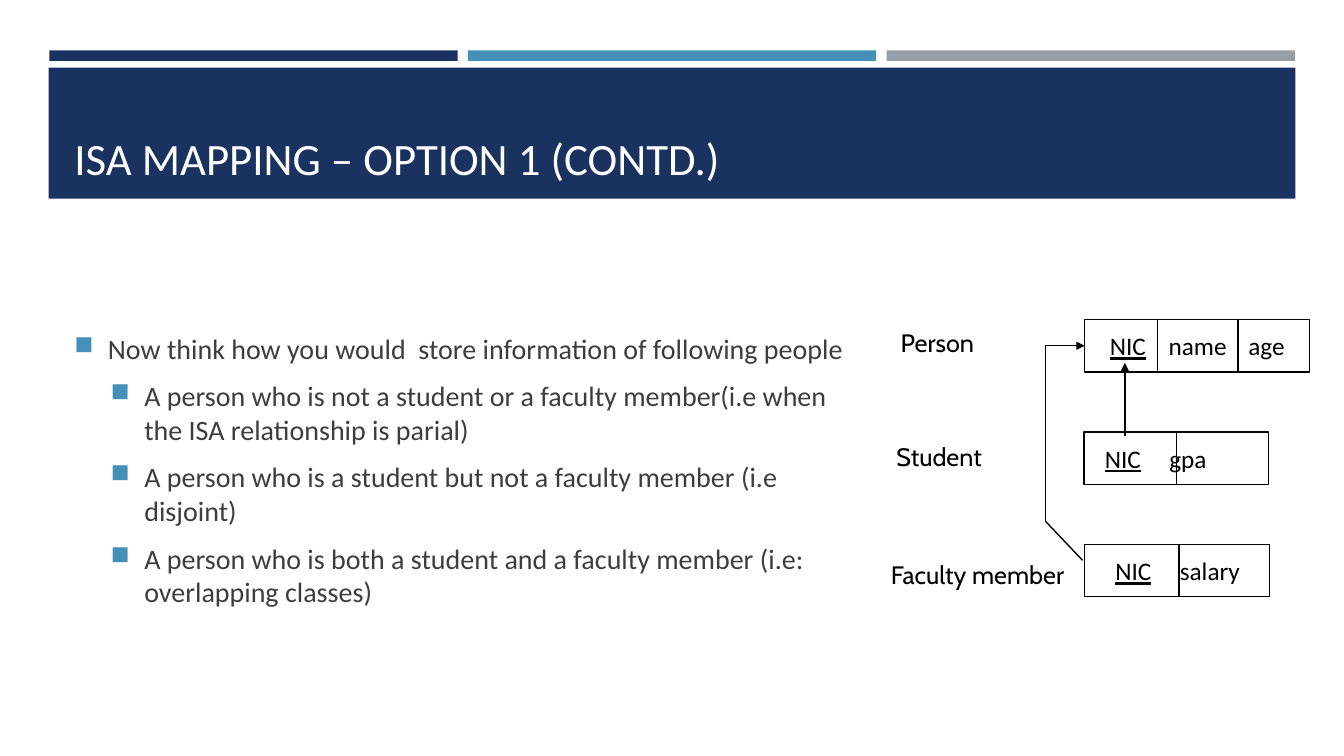
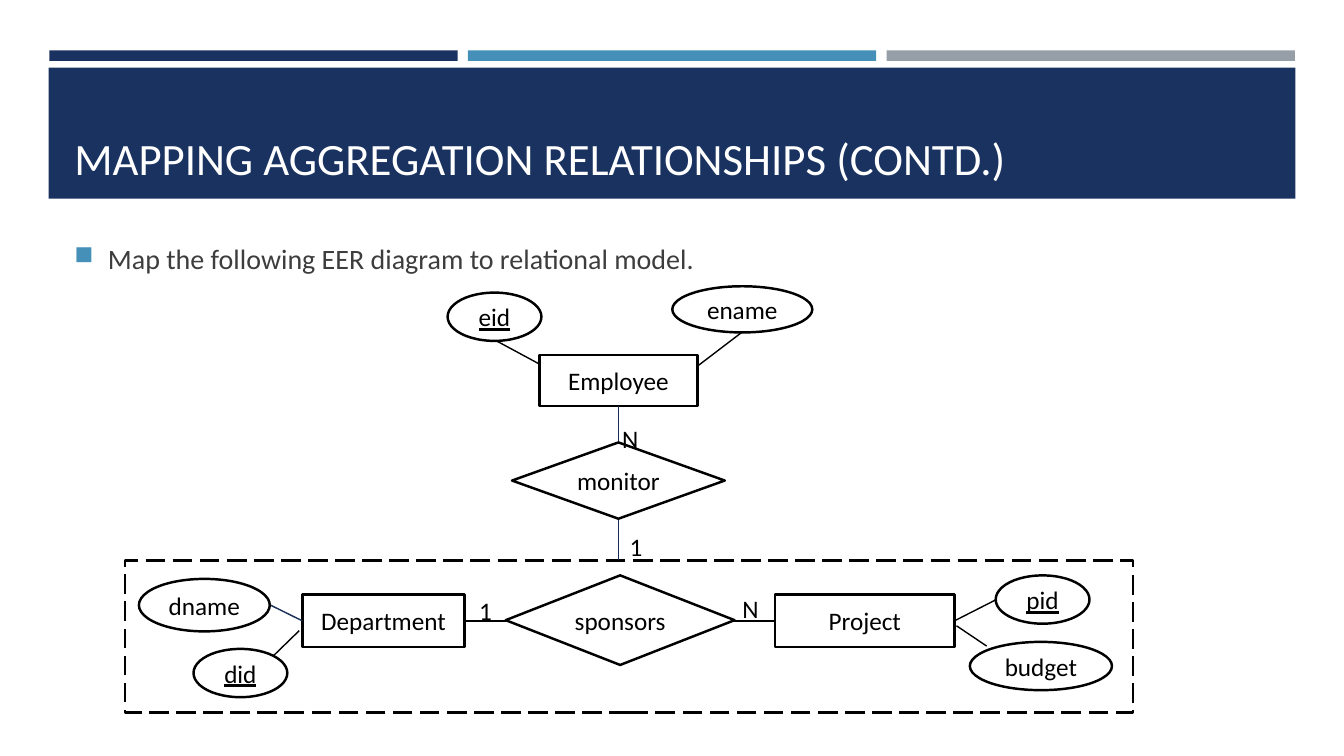
from lxml import etree
from pptx import Presentation
from pptx.dml.color import RGBColor
from pptx.enum.dml import MSO_LINE
from pptx.enum.shapes import MSO_CONNECTOR, MSO_SHAPE
from pptx.enum.text import MSO_ANCHOR, PP_ALIGN
from pptx.oxml.ns import qn
from pptx.util import Pt

RECTANGLE, ELLIPSE, DIAMOND = MSO_SHAPE.RECTANGLE, MSO_SHAPE.OVAL, MSO_SHAPE.DIAMOND
STRAIGHT = MSO_CONNECTOR.STRAIGHT
LONG_DASH = MSO_LINE.LONG_DASH
MIDDLE, BOTTOM = MSO_ANCHOR.MIDDLE, MSO_ANCHOR.BOTTOM
CENTER, LEFT = PP_ALIGN.CENTER, PP_ALIGN.LEFT
TOP_SIDE, LEFT_SIDE, BOTTOM_SIDE, RIGHT_SIDE = range(4)

NAVY = RGBColor(0x1A, 0x32, 0x60)
BLUE = RGBColor(0x45, 0x90, 0xB8)
GRAY = RGBColor(0x96, 0x9F, 0xA7)
DARK_NAVY = RGBColor(0x17, 0x2D, 0x56)
TEXT_GRAY = RGBColor(0x3D, 0x3D, 0x3D)
BLACK = RGBColor(0, 0, 0)
WHITE = RGBColor(255, 255, 255)

TITLE_FONT = {"name": "Calibri", "size": Pt(32)}
BODY_FONT = {"name": "Calibri", "size": Pt(20)}
DIAGRAM_FONT = {"name": "Calibri", "size": Pt(18)}
KEY_FONT = {**DIAGRAM_FONT, "underline": True}
LABEL_FONT = {"name": "Cabin", "size": Pt(18)}
NO_INSETS = {"margin_left": 0, "margin_right": 0, "margin_top": 0, "margin_bottom": 0}


def apply_format(target, values):
    for name, value in values.items():
        setattr(target, name, value)


def add_run(paragraph, text, font, color=BLACK):
    run = paragraph.add_run()
    run.text = text
    apply_format(run.font, font)
    run.font.color.rgb = color


def add_box(slide, kind, box, fill, line_width=0):
    shape = slide.shapes.add_shape(kind, *map(Pt, box))
    shape.shadow.inherit = False
    shape.fill.solid()
    shape.fill.fore_color.rgb = fill
    if line_width:
        shape.line.color.rgb = BLACK
        shape.line.width = Pt(line_width)
    else:
        shape.line.fill.background()
    return shape


def add_text_box(slide, box, **frame_format):
    frame = slide.shapes.add_textbox(*map(Pt, box)).text_frame
    apply_format(frame, {"word_wrap": True, **frame_format})
    return frame


def add_label(slide, box, text, font):
    frame = add_text_box(slide, box, word_wrap=False)
    add_run(frame.paragraphs[0], text, font)


def add_line(slide, begin, end, color=BLACK, arrow=False):
    connector = slide.shapes.add_connector(STRAIGHT, *map(Pt, (*begin, *end)))
    connector.line.color.rgb = color
    connector.line.width = Pt(1)
    etree.SubElement(connector._element.spPr, qn("a:effectLst"))
    if arrow:
        line = connector.line._get_or_add_ln()
        etree.SubElement(line, qn("a:tailEnd"), type="triangle")
    return connector


def add_bullet(paragraph, indent):
    properties = paragraph._p.get_or_add_pPr()
    properties.set("marL", str(Pt(indent)))
    properties.set("indent", str(-Pt(24)))
    color = etree.SubElement(properties, qn("a:buClr"))
    etree.SubElement(color, qn("a:srgbClr"), val=str(BLUE))
    etree.SubElement(properties, qn("a:buSzPct"), val="92000")
    etree.SubElement(properties, qn("a:buChar"), char="■")


def add_tab_stops(paragraph, positions):
    tabs = etree.SubElement(paragraph._p.get_or_add_pPr(), qn("a:tabLst"))
    for position in positions:
        etree.SubElement(tabs, qn("a:tab"), pos=str(Pt(position)), algn="l")


def add_titled_slide(presentation, title):
    slide = presentation.slides.add_slide(presentation.slide_layouts[6])
    for index, color in enumerate((NAVY, BLUE, GRAY)):
        add_box(slide, RECTANGLE, (35.25 + 299 * index, 36, 291.6, 7.5), color)
    add_box(slide, RECTANGLE, (34.75, 48.25, 890.5, 93.75), NAVY)
    frame = add_text_box(slide, (46, 55.5, 868.5, 80), vertical_anchor=BOTTOM)
    add_run(frame.paragraphs[0], title, TITLE_FONT, WHITE)
    return slide


def add_bullets(slide, box, items):
    frame = add_text_box(slide, box, vertical_anchor=MIDDLE)
    for index, (level, text) in enumerate(items):
        paragraph = frame.add_paragraph() if index else frame.paragraphs[0]
        apply_format(paragraph, {"level": level, "space_before": Pt(4), "space_after": Pt(6)})
        add_bullet(paragraph, 24 + 26 * level)
        add_run(paragraph, text, BODY_FONT, TEXT_GRAY)


def add_relation(slide, box, inset, fields, tab_stops, dividers):
    left, top, width, height = box
    shape = add_box(slide, RECTANGLE, box, WHITE, 1)
    frame = shape.text_frame
    apply_format(frame, {**NO_INSETS, "margin_left": Pt(inset),
                         "vertical_anchor": MIDDLE, "word_wrap": True})
    paragraph = frame.paragraphs[0]
    paragraph.alignment = LEFT
    add_tab_stops(paragraph, tab_stops)
    key, *others = fields
    add_run(paragraph, key, KEY_FONT)
    add_run(paragraph, "".join("\t" + field for field in others), DIAGRAM_FONT)
    for divider in dividers:
        x = left + divider
        add_line(slide, (x, top), (x, top + height))
    return shape


def add_relation_schema(slide, left, top):
    row_step = 80.25
    rows = (
        ("Person", (7, 2, 68.5), (145.5, 160.5), 18, ("NIC", "name", "age"), (42, 99), (52, 109.5)),
        ("Student", (4, 3, 76.5), (145, 132), 15, ("NIC", "gpa"), (46,), (66,)),
        ("Faculty member", (0, 7, 142.5), (145.5, 132), 22, ("NIC", "salary"), (46,), (67.5,)),
    )
    relations = {}
    for index, (name, label, extent, inset, fields, tab_stops, dividers) in enumerate(rows):
        row_top = top + row_step * index
        label_x, label_y, label_width = label
        x, width = extent
        add_label(slide, (left + label_x, row_top + label_y, label_width, 29), name, LABEL_FONT)
        relations[name] = add_relation(slide, (left + x, row_top, width, 37.5),
                                       inset, fields, tab_stops, dividers)

    key_x = left + 174.25
    add_line(slide, (key_x, top + 83.5), (key_x, top + 31), arrow=True)
    faculty = (left + 144, top + 172)
    bend = (left + 117.5, top + 144)
    corner = (left + 117.5, top + 18.75)
    add_line(slide, faculty, bend)
    add_line(slide, bend, corner)
    reference = add_line(slide, corner, (left + 145.5, top + 18.75), arrow=True)
    reference.end_connect(relations["Person"], LEFT_SIDE)


def add_node(slide, kind, box, text, font=DIAGRAM_FONT):
    shape = add_box(slide, kind, box, WHITE, 1.75)
    apply_format(shape.text_frame, {**NO_INSETS, "vertical_anchor": MIDDLE, "word_wrap": True})
    paragraph = shape.text_frame.paragraphs[0]
    paragraph.alignment = CENTER
    add_run(paragraph, text, font)
    return shape


def add_aggregation_diagram(slide, left, top):
    def place(x, y, *size):
        return (left + x, top + y, *size)

    frame = add_box(slide, RECTANGLE, place(0, 196, 720, 108.5), WHITE, 1.75)
    frame.line.dash_style = LONG_DASH

    entities = {
        name: add_node(slide, RECTANGLE, place(*box), name)
        for name, box in (
            ("Employee", (296, 49, 113, 36.5)),
            ("Department", (126.75, 220.25, 116, 37.5)),
            ("Project", (464.5, 220.25, 128, 37.5)),
        )
    }

    links = (
        ((352.5, 195.5), ("Employee", BOTTOM_SIDE), DARK_NAVY),
        ((263.5, 38), (296, 55.5), BLACK),
        ((440.5, 33), (409, 57), BLACK),
        (("Department", RIGHT_SIDE), ("Project", LEFT_SIDE), BLACK),
        ((103.5, 227.5), ("Department", LEFT_SIDE), DARK_NAVY),
        ((106, 264), (124.5, 246), BLACK),
        ((622, 224), ("Project", RIGHT_SIDE), BLACK),
        ((594, 242.5), (615.5, 257), BLACK),
    )
    for begin, end, color in links:
        points = [place(0, 0) if point[0] in entities else place(*point) for point in (begin, end)]
        connector = add_line(slide, *points, color)
        for point, connect in ((begin, connector.begin_connect), (end, connector.end_connect)):
            if point[0] in entities:
                connect(entities[point[0]], point[1])

    nodes = (
        (DIAMOND, "monitor", (276.5, 111.5, 152, 54.5), DIAGRAM_FONT),
        (DIAMOND, "sponsors", (272, 206.5, 163.5, 64), DIAGRAM_FONT),
        (ELLIPSE, "eid", (230.5, 4.5, 67, 34.5), KEY_FONT),
        (ELLIPSE, "ename", (391, 0, 100, 33), DIAGRAM_FONT),
        (ELLIPSE, "did", (49, 259, 67, 34.5), KEY_FONT),
        (ELLIPSE, "dname", (10, 209, 93.5, 37.5), DIAGRAM_FONT),
        (ELLIPSE, "pid", (622, 206.5, 67, 34.5), KEY_FONT),
        (ELLIPSE, "budget", (603.5, 254, 101.5, 34.5), DIAGRAM_FONT),
    )
    for kind, text, box, font in nodes:
        add_node(slide, kind, place(*box), text, font)

    for text, x, y in (("N", 434, 216), ("1", 246, 217.5), ("N", 348, 94.5), ("1", 353.5, 171.5)):
        add_label(slide, place(x, y, 24.5, 29), text, DIAGRAM_FONT)


def add_isa_slide(presentation):
    slide = add_titled_slide(presentation, "ISA MAPPING – OPTION 1 (CONTD.)")
    add_bullets(slide, (46, 171.5, 568, 328), (
        (0, "Now think how you would  store information of following people"),
        (1, "A person who is not a student or a faculty member(i.e when the ISA relationship is parial)"),
        (1, "A person who is a student but not a faculty member (i.e disjoint)"),
        (1, "A person who is both a student and a faculty member (i.e: overlapping classes)"),
    ))
    add_relation_schema(slide, 629.25, 228.25)


def add_aggregation_slide(presentation):
    slide = add_titled_slide(presentation, "MAPPING AGGREGATION RELATIONSHIPS (CONTD.)")
    add_bullets(slide, (46, 155, 868.5, 59), (
        (0, "Map the following EER diagram to relational model."),
    ))
    add_aggregation_diagram(slide, 89.25, 204.5)


def main():
    presentation = Presentation()
    apply_format(presentation, {"slide_width": Pt(960), "slide_height": Pt(540)})
    add_isa_slide(presentation)
    add_aggregation_slide(presentation)
    presentation.save("out.pptx")


if __name__ == "__main__":
    main()
